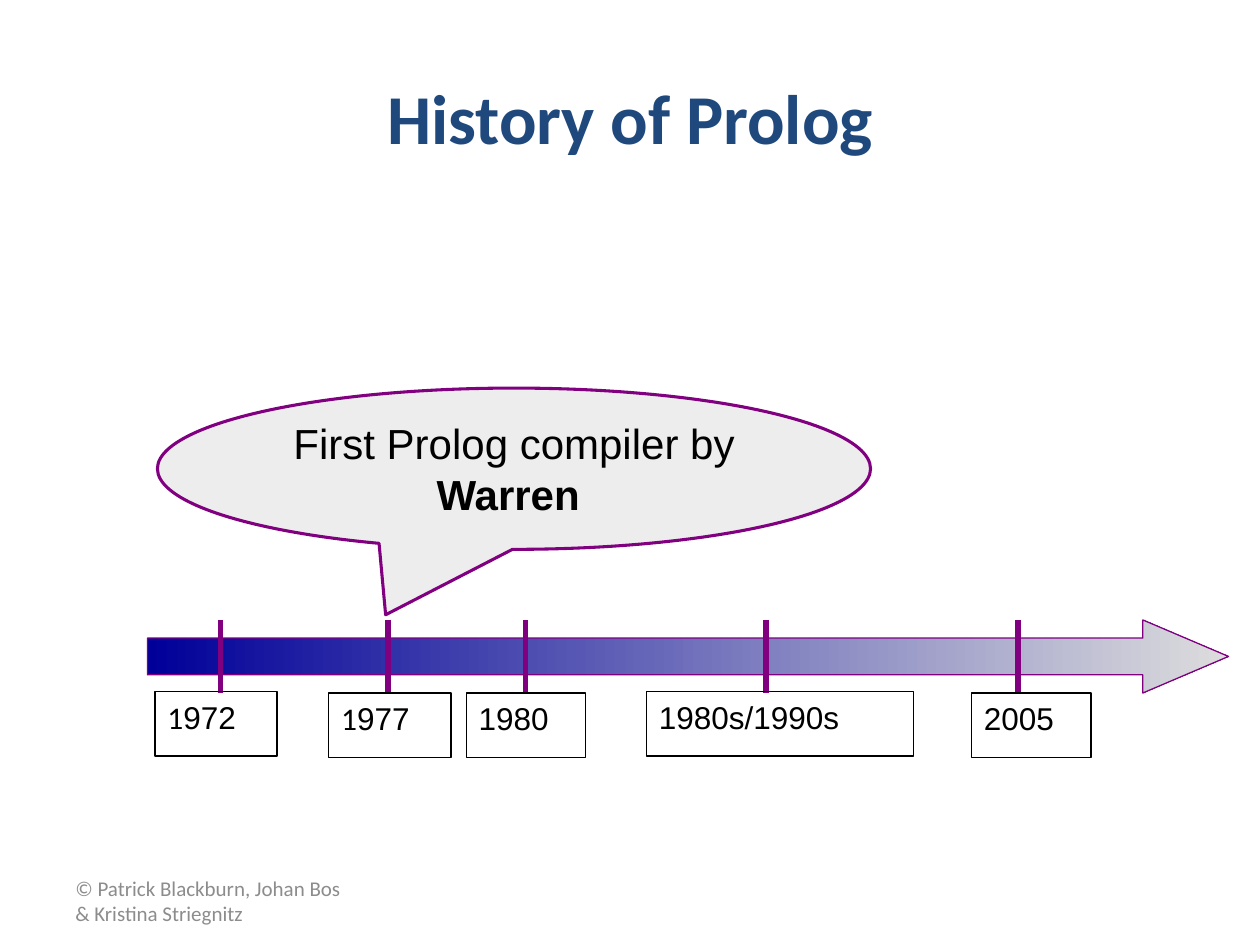
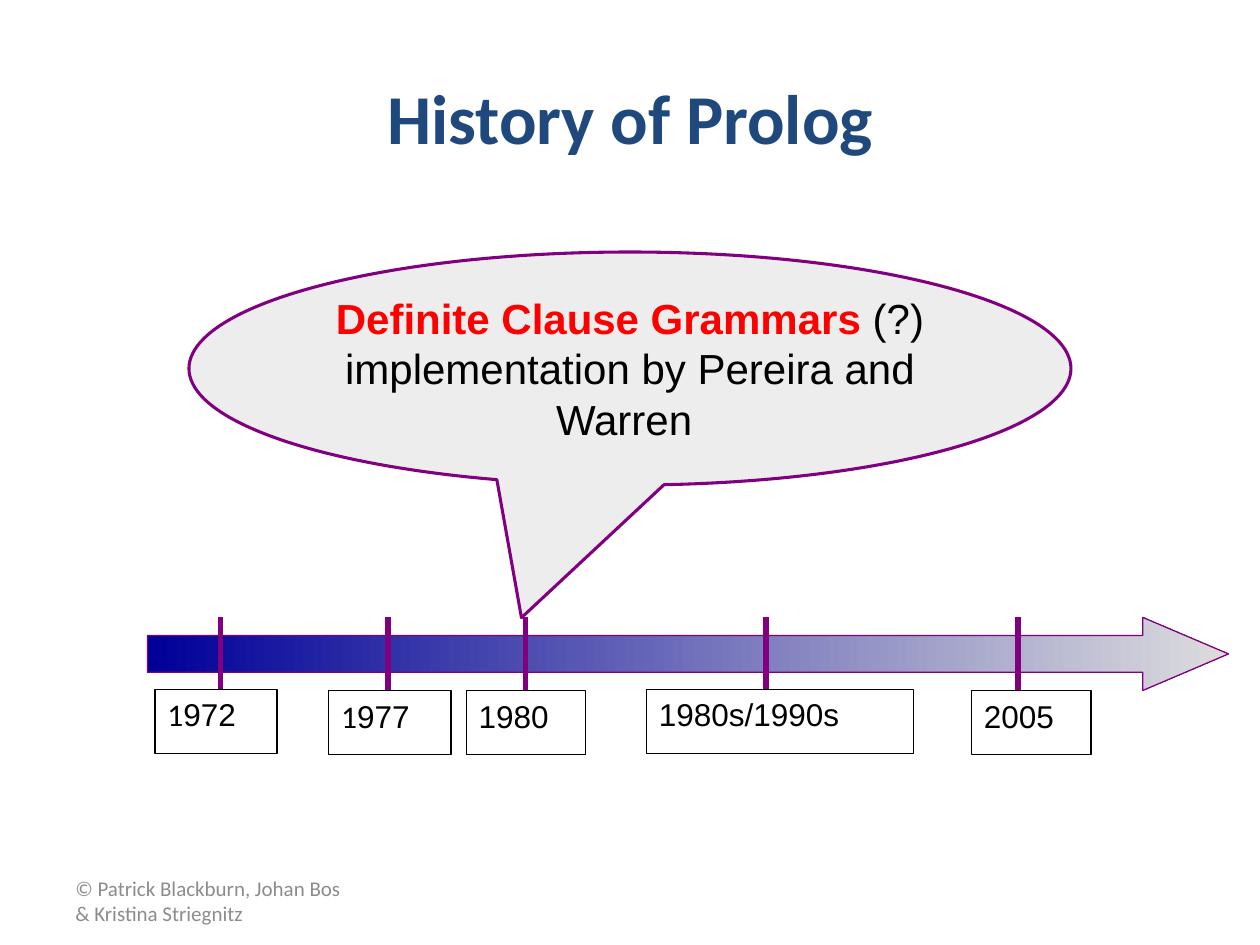
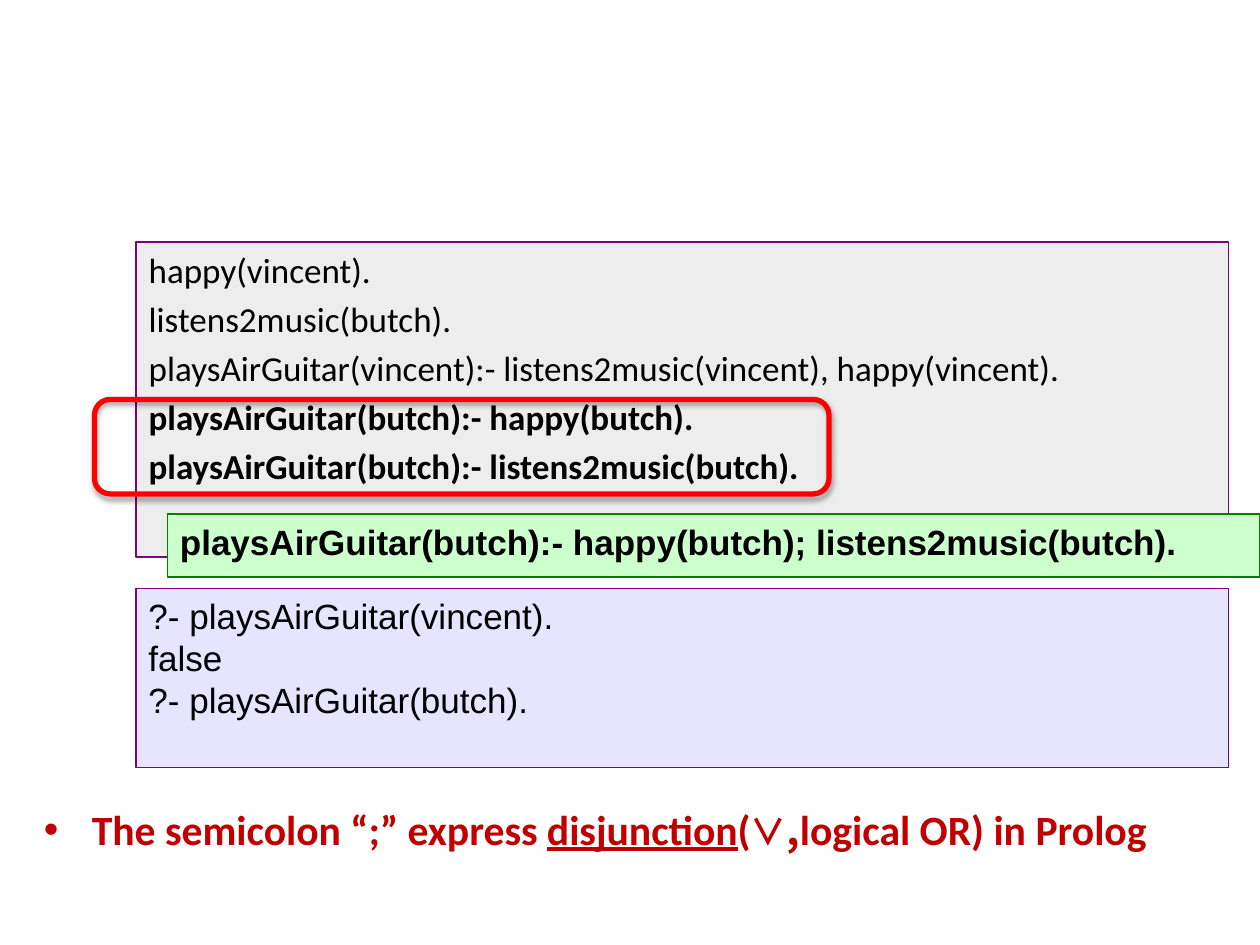
from lxml import etree
from pptx import Presentation
from pptx import util as u
from pptx.dml import color
from pptx.enum import shapes, text
from pptx.oxml import ns

PURPLE, BLACK, GREY, RED, MAROON = "800080", "000000", "DDDDDD", "FF0000", "C00000"
NAVY, SLATE = "1F497D", "8C8C8C"
LEFT, CENTER = text.PP_ALIGN.LEFT, text.PP_ALIGN.CENTER
TOP, MIDDLE = text.MSO_ANCHOR.TOP, text.MSO_ANCHOR.MIDDLE
HANG = 0.38


def rgb(value):
    return color.RGBColor.from_string(value)


def assign(target, values):
    for name, value in values.items():
        setattr(target, name, value)


def inches(box):
    return [u.Inches(value) for value in box]


def place(shape, box):
    assign(shape, dict(zip(("left", "top", "width", "height"), inches(box))))


def element(parent, tag, **attributes):
    values = {name: str(value) for name, value in attributes.items()}
    return etree.SubElement(parent, ns.qn(tag), values)


def style(size, font="Arial", hue=BLACK, **extra):
    return {"size": u.Pt(size), "name": font, "hue": hue, "bold": False, **extra}


def write(shape, paragraphs, align=LEFT, anchor=TOP, hang=0, bullet=None, before=None):
    frame = shape.text_frame
    assign(frame, {"word_wrap": True, "vertical_anchor": anchor,
                   "auto_size": text.MSO_AUTO_SIZE.NONE})
    for index, runs in enumerate(paragraphs):
        para = frame.add_paragraph() if index else frame.paragraphs[0]
        para.alignment = align
        if before is not None:
            para.space_before = u.Pt(before)
        if hang:
            props = para._p.get_or_add_pPr()
            props.set("marL", str(u.Inches(hang)))
            props.set("indent", str(-u.Inches(hang)))
            if bullet:
                element(props, "a:buFont", typeface="Arial")
                element(props, "a:buChar", char=bullet)
            else:
                element(props, "a:buNone")
        for words, look in runs:
            span = para.add_run()
            span.text = words
            assign(span.font, {k: v for k, v in look.items() if k != "hue"})
            span.font.color.rgb = rgb(look["hue"])


def paint(shape, fill=None, line=None, width=0.75, alpha=None):
    if fill:
        shape.fill.solid()
        shape.fill.fore_color.rgb = rgb(fill)
        if alpha:
            for solid in shape._element.spPr.findall(ns.qn("a:solidFill")):
                element(solid[0], "a:alpha", val=alpha * 1000)
    else:
        shape.fill.background()
    shape.line.color.rgb = rgb(line)
    shape.line.width = u.Pt(width)


def add_shape(page, kind, box, adjust=(), **look):
    shape = page.shapes.add_shape(kind, *inches(box))
    shape.shadow.inherit = False
    for index, value in enumerate(adjust):
        shape.adjustments[index] = value
    paint(shape, **look)
    return shape


def add_text(page, box, paragraphs, **layout):
    write(page.shapes.add_textbox(*inches(box)), paragraphs, **layout)


def add_arrow(page, box):
    arrow = add_shape(page, shapes.MSO_SHAPE.RIGHT_ARROW, box, (0.504, 1.172), line=PURPLE)
    arrow.fill.gradient()
    arrow.fill.gradient_angle = 0
    for stop, position, hue in zip(arrow.fill.gradient_stops, (0, 1), ("000099", GREY)):
        stop.position = position
        stop.color.rgb = rgb(hue)


def add_tick(page, x, top, height):
    tick = page.shapes.add_connector(shapes.MSO_CONNECTOR.STRAIGHT,
                                     *inches((x, top, x, top + height)))
    tick.line.color.rgb = rgb(PURPLE)
    tick.line.width = u.Pt(3)
    element(tick._element.spPr, "a:effectLst")


ARIAL, CALIBRI = style(18), style(18, "Calibri")
MILESTONES = [
    (0.58, 0.06, 0.97, 0.57, [("1", CALIBRI), ("972", ARIAL)]),
    (1.91, 1.44, 0.97, 0.58, [("1", CALIBRI), ("977", ARIAL)]),
    (3.00, 2.53, 0.95, 0.58, [("1980", ARIAL)]),
    (4.91, 3.96, 2.12, 0.57, [("1980s/1990s", ARIAL)]),
    (6.91, 6.54, 0.95, 0.58, [("2005", ARIAL)]),
]


def add_timeline(page, box):
    left, top, width, height = box
    add_arrow(page, box)
    for tick, *_ in MILESTONES:
        add_tick(page, left + tick, top, height)
    for _, offset, label_width, drop, runs in MILESTONES:
        label = add_shape(page, shapes.MSO_SHAPE.RECTANGLE,
                          (left + offset, top + drop, label_width, 0.51), line=BLACK)
        write(label, [runs])


def history_slide(deck, timeline_top, bubble_box, pointer, runs):
    page = deck.slides.add_slide(deck.slide_layouts[5])
    title = page.shapes.title
    place(title, (0.5, 0.3, 9, 1.25))
    write(title, [[("History of Prolog", style(40, "Calibri", NAVY, bold=True))]],
          align=CENTER, anchor=MIDDLE)
    add_text(page, (0.5, 6.95, 2.33, 0.4),
             [[("© Patrick Blackburn, Johan Bos & Kristina Striegnitz",
                style(12, "Calibri", SLATE))]], anchor=MIDDLE)
    add_timeline(page, (1.17, timeline_top, 8.58, 0.58))
    bubble = add_shape(page, shapes.MSO_SHAPE.OVAL_CALLOUT, bubble_box, pointer,
                       fill=GREY, alpha=50, line=PURPLE, width=1.75)
    write(bubble, [runs], align=CENTER)


def add_highlight(page, box):
    ring = add_shape(page, shapes.MSO_SHAPE.ROUNDED_RECTANGLE, box, line=RED, width=3)
    effects = ring._element.spPr.find(ns.qn("a:effectLst"))
    shadow = element(effects, "a:outerShdw", blurRad=u.Pt(3.1), dist=u.Pt(1.8),
                     dir=90 * 60000, rotWithShape=0)
    element(element(shadow, "a:srgbClr", val=BLACK), "a:alpha", val=35000)


def add_code(page, box, lines, look, **colours):
    panel = add_shape(page, shapes.MSO_SHAPE.RECTANGLE, box, **colours)
    write(panel, [[(line, look)] for line in lines], hang=HANG)


def disjunction_slide(deck):
    page = deck.slides.add_slide(deck.slide_layouts[1])
    title = page.shapes.title._element
    title.getparent().remove(title)

    left, width = 1.08, 8.67
    rules = page.placeholders[1]
    place(rules, (left, 1.92, width, 2.5))
    paint(rules, GREY, PURPLE, alpha=50)
    plain, strong = style(20, "Calibri"), style(20, "Calibri", bold=True)
    write(rules, [
        [("happy(vincent).", plain)],
        [("listens2music(butch).", plain)],
        [("playsAirGuitar(vincent):- listens2music(vincent), happy(vincent).", plain)],
        [("playsAirGuitar(butch):- happy(butch).", strong)],
        [("playsAirGuitar(butch):- listens2music(butch).", strong)],
    ], hang=HANG, before=4)

    add_code(page, (left, 4.67, width, 1.42),
             ["?- playsAirGuitar(vincent).", "false", "?- playsAirGuitar(butch)."],
             style(20), fill="CCCCFF", alpha=50, line=PURPLE)
    add_code(page, (left + 0.25, 4.08, width, 0.5),
             ["playsAirGuitar(butch):- happy(butch); listens2music(butch)."],
             style(20, bold=True), fill="CCFFCC", line="008000")
    add_highlight(page, (0.75, 3.17, 5.83, 0.75))

    note = style(23.8, "Calibri", MAROON, bold=True)
    symbol = "Noto Sans CJK JP"
    add_text(page, (0.25, 6.33, 9.42, 0.75), [[
        ("The semicolon “;” express ", note),
        ("disjunction", {**note, "underline": True}),
        ("(", note),
        ("∨", {**note, "name": symbol, "size": u.Pt(20.4)}),
        (",", {**note, "name": symbol}),
        ("logical OR) in Prolog", note),
    ]], hang=HANG, bullet="•", before=4.8)


deck = Presentation()
assign(deck, {"slide_width": u.Inches(10), "slide_height": u.Inches(7.5)})
speech = style(24)
history_slide(deck, 4.92, (1.25, 3.08, 5.66, 1.28), (-0.18, 0.906),
              [("First Prolog compiler by ", speech), ("Warren ", {**speech, "bold": True})])
history_slide(deck, 4.9, (1.5, 2, 7, 1.85), (-0.123, 1.069),
              [("Definite Clause Grammars ", style(24, hue=RED, bold=True)),
               ("(?) implementation by Pereira and Warren ", speech)])
disjunction_slide(deck)
deck.save("out.pptx")
